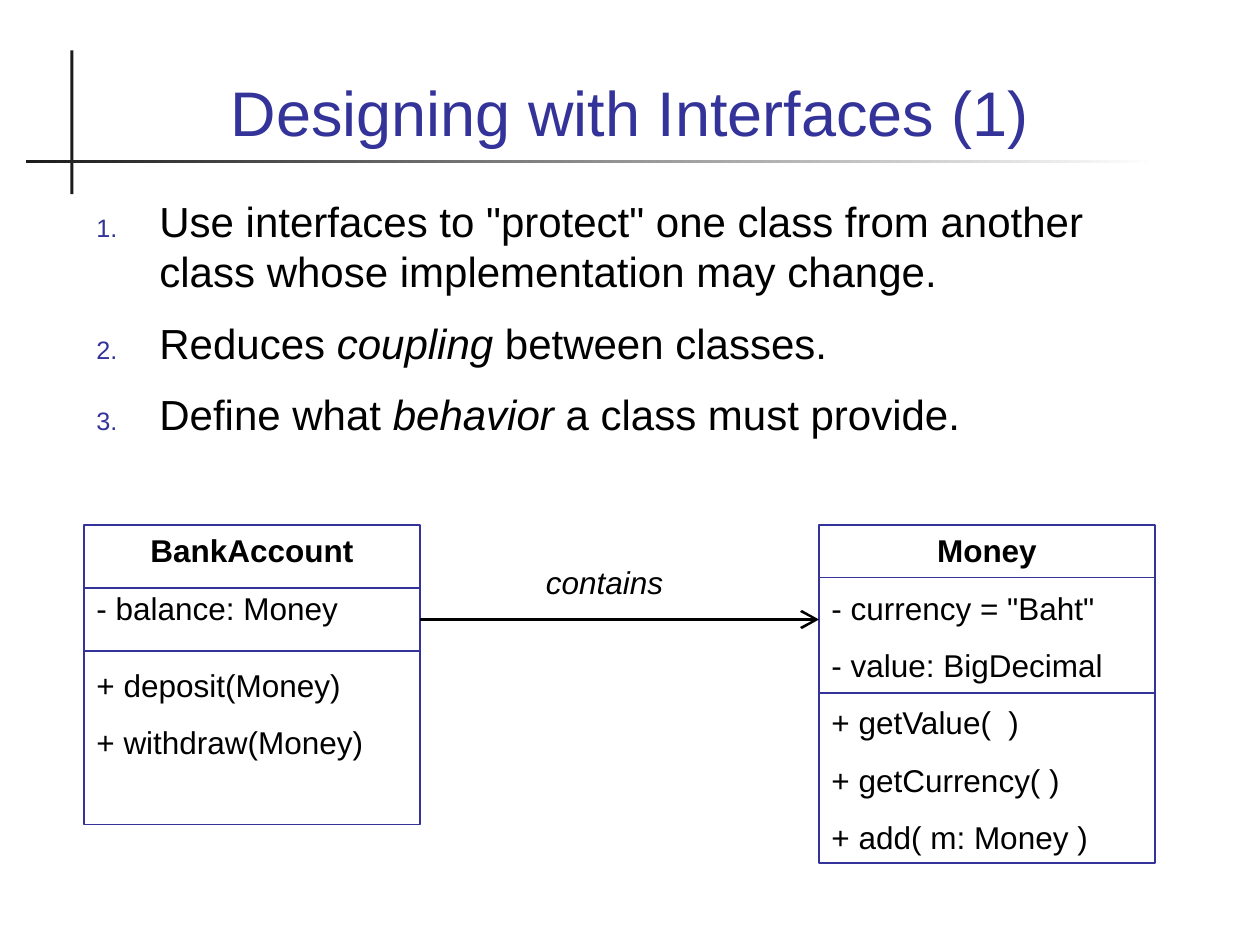
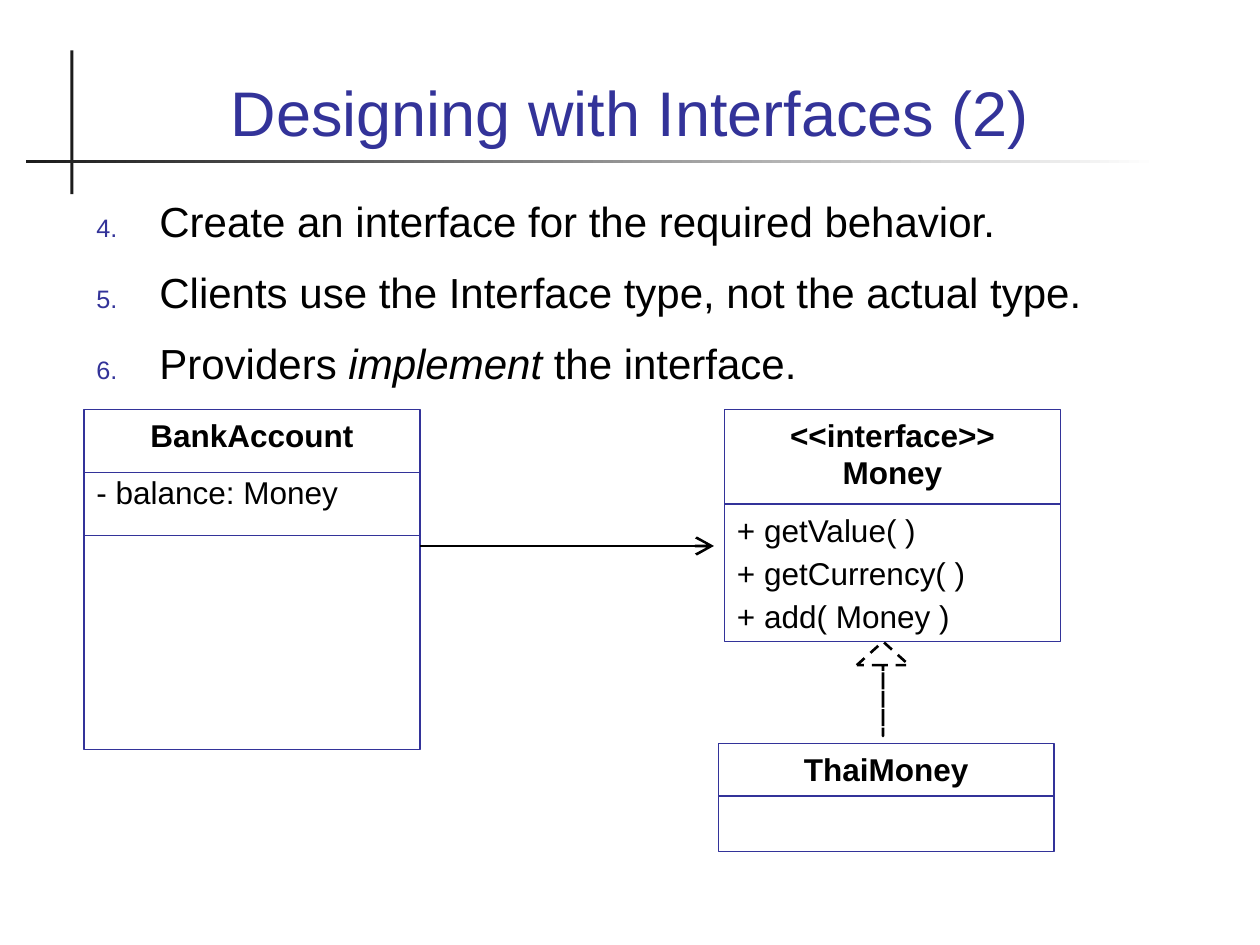
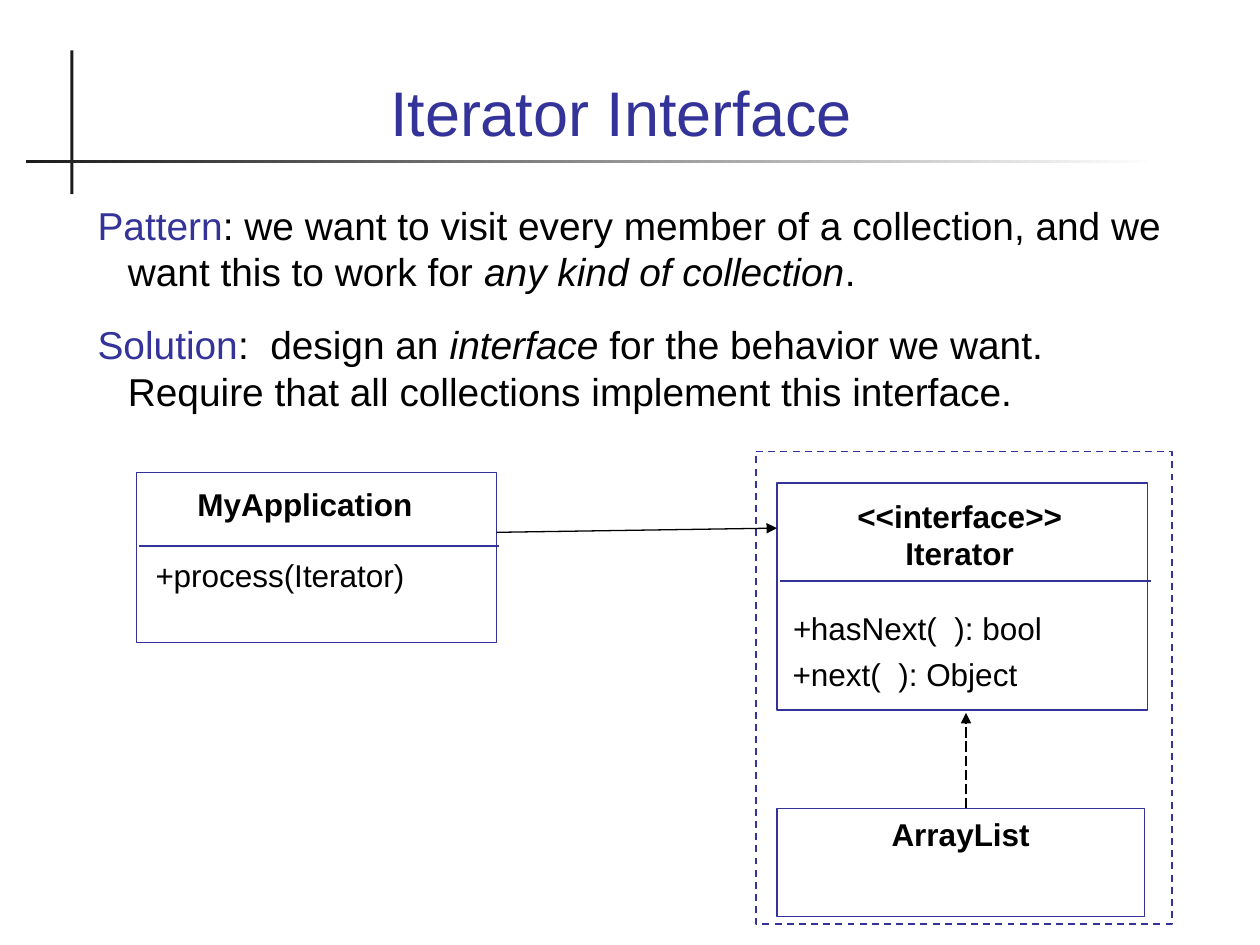
from lxml import etree
from pptx import Presentation
from pptx import util as u
from pptx.dml.color import RGBColor
from pptx.enum import dml, shapes, text
from pptx.oxml.ns import qn

# Shared look; the grid has 12 cells to the inch, 120 columns by 90 rows
CELL = u.Inches(1) / 12
COLUMNS, ROWS = 120, 90
FONT = "Arial"
INDIGO, BLACK, WHITE, CHARCOAL = "333399", "000000", "FFFFFF", "1C1C1C"
BODY_LEFT, BODY_WIDTH = 8, 104
CLASS_WIDTH = 32
MEMBER_GAP = 11.2
CENTER, LEFT = text.PP_ALIGN.CENTER, text.PP_ALIGN.LEFT
DASH, LONG_DASH = dml.MSO_LINE.DASH, dml.MSO_LINE.LONG_DASH
ITALIC = {"italic": True}
ACCENT = {"color": INDIGO}


def grid(*cells):
    return [u.Emu(round(cell * CELL)) for cell in cells]


def rgb(color):
    return RGBColor.from_string(color)


def sub(parent, tag, **attributes):
    return etree.SubElement(parent, qn(tag), attributes)


# Text
def add_run(paragraph, words, size=18, color=BLACK, bold=False, italic=False):
    for index, line in enumerate(words.split("\n")):
        if index:
            paragraph.add_line_break()
        run = paragraph.add_run()
        run.text = line
        font = run.font
        font.name, font.size = FONT, u.Pt(size)
        font.bold, font.italic = bold, italic
        font.color.rgb = rgb(color)


def add_paragraph(frame, spans, align=LEFT, before=MEMBER_GAP, margin=0,
                  indent=0, number_from=None, **font):
    """Spans are one string, or a list of strings and (string, format) pairs."""
    paragraph = frame.paragraphs[0]
    if paragraph.runs:
        paragraph = frame.add_paragraph()
    paragraph.alignment = align
    paragraph.space_before = u.Pt(before)
    properties = paragraph._p.get_or_add_pPr()
    properties.set("marL", str(u.Inches(margin)))
    properties.set("indent", str(u.Inches(indent)))
    if number_from:
        sub(sub(properties, "a:buClr"), "a:srgbClr", val=INDIGO)
        sub(properties, "a:buSzPct", val="60000")
        sub(properties, "a:buFont", typeface=FONT)
        sub(properties, "a:buAutoNum", type="arabicPeriod", startAt=str(number_from))
    for span in [spans] if isinstance(spans, str) else spans:
        words, extra = (span, {}) if isinstance(span, str) else span
        add_run(paragraph, words, **{**font, **extra})


def prepare_frame(shape, anchor=text.MSO_ANCHOR.TOP, wrap=True):
    frame = shape.text_frame
    frame.word_wrap = wrap
    frame.vertical_anchor = anchor
    if not wrap:
        frame.auto_size = text.MSO_AUTO_SIZE.SHAPE_TO_FIT_TEXT
    return frame


def add_label(slide, left, top, width, height, anchor=text.MSO_ANCHOR.TOP, wrap=True):
    box = slide.shapes.add_textbox(*grid(left, top, width, height))
    return prepare_frame(box, anchor, wrap)


# Shapes and lines
def set_stroke(line, color, weight, dash=None):
    line.color.rgb = rgb(color)
    line.width = u.Pt(weight)
    if dash:
        line.dash_style = dash


def add_outline(slide, left, top, width, height, kind=shapes.MSO_SHAPE.RECTANGLE,
                color=INDIGO, weight=0.75, dash=None):
    shape = slide.shapes.add_shape(kind, *grid(left, top, width, height))
    shape.shadow.inherit = False
    shape.fill.background()
    set_stroke(shape.line, color, weight, dash)
    return shape


def add_line(slide, start, end, color=INDIGO, weight=0.75, head=None,
             head_size="med", dash=None):
    connector = slide.shapes.add_connector(shapes.MSO_CONNECTOR.STRAIGHT,
                                           *grid(*start, *end))
    set_stroke(connector.line, color, weight, dash)
    if head:
        sub(connector.line._get_or_add_ln(), "a:tailEnd", type=head,
            w=head_size, len=head_size)
    sub(connector._element.spPr, "a:effectLst")


def add_association(slide, start, end):
    add_line(slide, start, end, BLACK, 1.5, "arrow", "lg")


def add_thin_arrow(slide, start, end, dash=None):
    add_line(slide, start, end, BLACK, 0.75, "triangle", dash=dash)


def add_divider(slide, left, row, width, weight=0.75):
    add_line(slide, (left, row), (left + width, row), weight=weight)


def add_class(slide, left, top, height, name, members=(), dividers=(), width=CLASS_WIDTH):
    """UML class; members are (words, space before) pairs."""
    frame = prepare_frame(add_outline(slide, left, top, width, height))
    add_paragraph(frame, name, align=CENTER, bold=True)
    for words, before in members:
        add_paragraph(frame, words, before=before)
    for row in dividers:
        add_divider(slide, left, row, width)


# Slide parts
def add_base_slide(presentation, title):
    slide = presentation.slides.add_slide(presentation.slide_layouts[6])
    for bar in ((6.7, 4.8, 0.3, 13.7), (2.5, 15.25, 107.9, 0.3)):
        shape = slide.shapes.add_shape(shapes.MSO_SHAPE.RECTANGLE, *grid(*bar))
        shape.shadow.inherit = False
        shape.line.fill.background()
        shape.fill.solid()
        shape.fill.fore_color.rgb = rgb(CHARCOAL)
    # The last bar, under the title, fades out to the right
    shape.fill.gradient()
    shape.fill.gradient_angle = 0
    for stop, color in zip(shape.fill.gradient_stops, (CHARCOAL, WHITE)):
        stop.color.rgb = rgb(color)
    frame = add_label(slide, BODY_LEFT, 3.35, BODY_WIDTH, 11.4, text.MSO_ANCHOR.BOTTOM)
    add_paragraph(frame, title, align=CENTER, before=0, size=36, color=INDIGO)
    return slide


def add_numbered_list(slide, height, items, number_from=1):
    frame = add_label(slide, BODY_LEFT, 18, BODY_WIDTH, height)
    for item in items:
        add_paragraph(frame, item, before=12, margin=0.5, indent=-0.5,
                      number_from=number_from, size=24)


def build_protection_slide(presentation):
    slide = add_base_slide(presentation, "Designing with Interfaces (1)")
    add_numbered_list(slide, 27, [
        'Use interfaces to "protect" one class from another class whose '
        "implementation may change.",
        ["Reduces ", ("coupling", ITALIC), " between classes."],
        ["Define what ", ("behavior", ITALIC), " a class must provide."],
    ])
    add_class(slide, 8, 50, 28.5, "BankAccount",
              [("- balance: Money", MEMBER_GAP), ("+ deposit(Money)", 22.5),
               ("+ withdraw(Money)", MEMBER_GAP)], dividers=(56, 62))
    money_members = ('- currency = "Baht"', "- value: BigDecimal", "+ getValue(  )",
                     "+ getCurrency( )", "+ add( m: Money )")
    add_class(slide, 78, 50, 32.2, "Money",
              [(member, MEMBER_GAP) for member in money_members], dividers=(55, 66))
    add_association(slide, (40, 59), (78, 59))
    add_paragraph(add_label(slide, 43, 53, 30, 4.8), "contains ", align=CENTER, italic=True)


def build_provider_slide(presentation):
    slide = add_base_slide(presentation, "Designing with Interfaces (2)")
    add_numbered_list(slide, 21, [
        "Create an interface for the required behavior.",
        "Clients use the Interface type, not the actual type.",
        ["Providers ", ("implement", ITALIC), " the interface."],
    ], number_from=4)
    add_class(slide, 8, 39, 32.4, "BankAccount", [("- balance: Money", MEMBER_GAP)],
              dividers=(45, 51))
    add_class(slide, 68.4, 70.8, 10.3, "ThaiMoney", dividers=(75.8,))
    add_association(slide, (40, 52), (68, 52))
    add_class(slide, 69, 39, 22.1, "<<interface>>\nMoney",
              [("+ getValue( )", MEMBER_GAP), ("+ getCurrency( )", 2.9),
               ("+ add( Money )", 2.9)], dividers=(48,))
    realization = add_outline(slide, 81.6, 61.1, 5, 9, shapes.MSO_SHAPE.UP_ARROW,
                              BLACK, 1.5, DASH)
    realization.adjustments[0] = 0
    realization.adjustments[1] = 0.45


def build_iterator_slide(presentation):
    slide = add_base_slide(presentation, "Iterator Interface ")
    frame = add_label(slide, BODY_LEFT, 18.6, BODY_WIDTH, 22.2)
    body = {"margin": 0.25, "indent": -0.24, "size": 22.2}
    add_paragraph(frame, [
        ("Pattern", ACCENT),
        ": we want to visit every member of a collection, and we want this to work for ",
        ("any kind of collection", ITALIC), "."], before=12, **body)
    add_paragraph(frame, [
        ("Solution", ACCENT), ":  design an ", ("interface", ITALIC),
        " for the behavior we want.  Require that all collections implement this interface.",
    ], before=15, **body)

    # Client class
    add_outline(slide, 13, 45, 34.3, 16.2, weight=1)
    name = add_label(slide, 17.6, 45.6, 22.9, 4.8, wrap=False)
    add_paragraph(name, "MyApplication", align=CENTER, bold=True)
    add_divider(slide, 13.2, 52, 34.3, weight=1)
    methods = add_label(slide, 13.6, 52.4, 26.2, 4.8, wrap=False)
    add_paragraph(methods, [("+", ITALIC), "process(Iterator)"])

    # Interface
    add_outline(slide, 74, 46, 35.3, 21.6, weight=1)
    name = add_label(slide, 80.4, 46.7, 22, 8.4, wrap=False)
    add_paragraph(name, "<<interface>>", align=CENTER, bold=True)
    add_paragraph(name, "Iterator", align=CENTER, before=0, bold=True)
    add_divider(slide, 74.3, 55.3, 35.3, weight=1)
    methods = add_label(slide, 74.3, 57.4, 26.2, 9.2, wrap=False)
    add_paragraph(methods, [("+", ITALIC), "hasNext(  ): bool"])
    add_paragraph(methods, "+next(  ): Object", before=4.5)

    # Collection package and its relations
    add_outline(slide, 72, 43, 39.6, 45, weight=1, dash=DASH)
    add_thin_arrow(slide, (47.3, 50.7), (74, 50.3))
    add_class(slide, 74, 77, 10.3, "ArrayList", width=35)
    add_thin_arrow(slide, (92, 77), (92, 67.9), LONG_DASH)


def main():
    presentation = Presentation()
    presentation.slide_width, presentation.slide_height = grid(COLUMNS, ROWS)
    build_protection_slide(presentation)
    build_provider_slide(presentation)
    build_iterator_slide(presentation)
    presentation.save("out.pptx")


if __name__ == "__main__":
    main()
